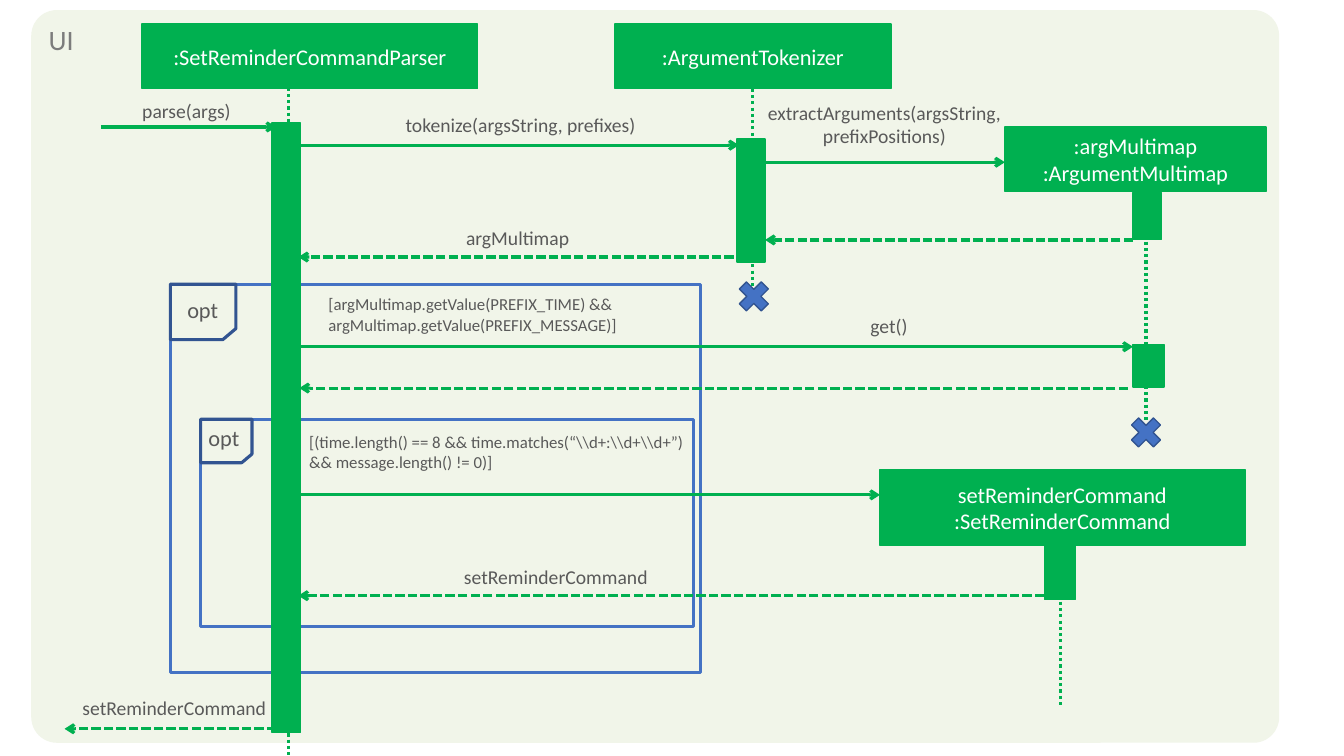
from lxml.etree import SubElement
from pptx import Presentation
from pptx.dml.color import RGBColor
from pptx.enum.dml import MSO_LINE
from pptx.enum.shapes import MSO_CONNECTOR, MSO_SHAPE
from pptx.enum.text import MSO_ANCHOR, MSO_AUTO_SIZE, PP_ALIGN
from pptx.oxml.ns import qn
from pptx.util import Pt

GREEN, BLUE, NAVY = "00B050", "4472C4", "325491"
PALE, GRAY, DARK, WHITE = "F1F5E9", "7C7C7C", "595959", "FFFFFF"
BAR = 20.2
CROSS = 30.2

HEADERS = [
    (101.5, 17.3, 239.8, 46.1, [":SetReminderCommandParser"]),
    (439.2, 17.3, 197.3, 46.1, [":ArgumentTokenizer"]),
    (717.8, 90.7, 186.5, 46.1, [":argMultimap", ":ArgumentMultimap"]),
    (628.6, 335.5, 260.6, 54, ["setReminderCommand", ":SetReminderCommand"]),
]
LIFELINES = [
    (205.9, 62.6, 540),
    (537.8, 63.4, 208.1),
    (818.6, 136.8, 301.7),
    (757.4, 389.5, 504.7),
]
ACTIVATIONS = [
    (194.4, 87.8, BAR, 435.6),
    (526.3, 99.4, BAR, 87.8),
    (809.3, 137.5, BAR, 33.8),
    (809.3, 246.2, 22.3, 30.2),
    (745.9, 384.5, 22.3, 43.9),
]
CROSSES = [(523.4, 196.6), (803.5, 293.8)]
OPTIONS = [
    ((121.7, 203, 378.7, 277.2), (46.8, 39.6), (126.7, 208.1, 38.2, 26.6)),
    ((143.3, 299.5, 352.1, 148.3), (36.7, 31), (141.8, 299.5, 42.5, 26.6)),
]
CALLS = [
    (72, 197.3, 90.7),
    (213.1, 527.8, 103.7),
    (546.5, 717.8, 115.9),
    (213.8, 809.3, 247.7),
    (213.8, 628.6, 353.5),
]
RETURNS = [
    (809.3, 546.5, 171.4),
    (524.2, 213.1, 183.6),
    (805.7, 213.8, 277.2),
    (745.9, 213.1, 425.5),
    (197.3, 46.1, 520.6),
]
MESSAGE_LABELS = [
    (70.6, 67, 125.3, 24.5, "parse(args)"),
    (274.3, 77, 195.1, 24.5, "tokenize(argsString, prefixes)"),
    (533.5, 68.4, 196.6, 41, "extractArguments(argsString, prefixPositions)"),
    (272.2, 157.7, 195.1, 24.5, "argMultimap"),
    (497.5, 221, 275, 24.5, "get()"),
    (299.5, 400.3, 195.1, 24.5, "setReminderCommand"),
    (46.8, 493.2, 155.5, 24.5, "setReminderCommand"),
]
GUARDS = [
    (227.5, 206.6, 231.8, 36,
     ["[argMultimap.getValue(PREFIX_TIME) && argMultimap.getValue(PREFIX_MESSAGE)]"]),
    (213.8, 304.6, 340.6, 36,
     ["[(time.length() == 8 && time.matches(“\\\\d+:\\\\d+\\\\d+”)",
      "&& message.length() != 0)]"]),
]


def color(hex_value):
    return RGBColor.from_string(hex_value)


def set_values(target, values):
    for name, value in values.items():
        setattr(target, name, value)


def write_text(shape, lines, size, text_color, align=PP_ALIGN.LEFT, **frame_values):
    frame = shape.text_frame
    set_values(frame, {"word_wrap": True, **frame_values})
    for index, line in enumerate(lines):
        paragraph = frame.add_paragraph() if index else frame.paragraphs[0]
        paragraph.text = line
        paragraph.alignment = align
        set_values(paragraph.font, {"name": "Calibri", "size": Pt(size)})
        paragraph.font.color.rgb = color(text_color)


def add_block(slide, kind, box, fill=None, line=None, width=1):
    shape = slide.shapes.add_shape(kind, *map(Pt, box))
    shape.shadow.inherit = False
    if fill:
        shape.fill.solid()
        shape.fill.fore_color.rgb = color(fill)
    else:
        shape.fill.background()
    if line:
        shape.line.color.rgb = color(line)
        shape.line.width = Pt(width)
    else:
        shape.line.fill.background()
    return shape


def add_label(slide, box, lines, size, align=PP_ALIGN.LEFT):
    label = slide.shapes.add_textbox(*map(Pt, box))
    write_text(label, lines, size, DARK, align,
               auto_size=MSO_AUTO_SIZE.SHAPE_TO_FIT_TEXT)


def add_line(slide, start, end, dash=None, arrow=False):
    connector = slide.shapes.add_connector(
        MSO_CONNECTOR.STRAIGHT, *map(Pt, (*start, *end)))
    connector.line.color.rgb = color(GREEN)
    set_values(connector.line, {"width": Pt(2.25), "dash_style": dash})
    if arrow:
        outline = connector.line._get_or_add_ln()
        SubElement(outline, qn("a:tailEnd"), type="arrow")
    SubElement(connector._element.spPr, qn("a:effectLst"))


def add_message(slide, start_x, end_x, y, dash=None):
    add_line(slide, (start_x, y), (end_x, y), dash, arrow=True)


def add_option(slide, box, tab_size, label_box):
    add_block(slide, MSO_SHAPE.RECTANGLE, box, line=BLUE, width=2.25)
    tab = add_block(slide, MSO_SHAPE.FLOWCHART_CARD, (*box[:2], *tab_size),
                    line=NAVY, width=2.25)
    tab.rotation = 180
    add_label(slide, label_box, ["opt"], 16)


def add_header(slide, box, lines):
    header = add_block(slide, MSO_SHAPE.RECTANGLE, box, GREEN, GREEN)
    write_text(header, lines, 16, WHITE, PP_ALIGN.CENTER,
               vertical_anchor=MSO_ANCHOR.MIDDLE)


def add_package(slide):
    package = add_block(slide, MSO_SHAPE.ROUNDED_RECTANGLE,
                        (22.3, 7.2, 891.4, 523.4), PALE)
    package.adjustments[0] = 0.035
    write_text(package, ["UI"], 20, GRAY, vertical_anchor=MSO_ANCHOR.TOP)


def main():
    presentation = Presentation()
    set_values(presentation, {"slide_width": Pt(960), "slide_height": Pt(540)})
    slide = presentation.slides.add_slide(presentation.slide_layouts[6])

    add_package(slide)
    for x, top, bottom in LIFELINES:
        add_line(slide, (x, top), (x, bottom), MSO_LINE.ROUND_DOT)
    for option in OPTIONS:
        add_option(slide, *option)
    for box in ACTIVATIONS:
        add_block(slide, MSO_SHAPE.RECTANGLE, box, GREEN, GREEN)
    for *box, lines in HEADERS:
        add_header(slide, box, lines)
    for left, top in CROSSES:
        add_block(slide, MSO_SHAPE.MATH_MULTIPLY, (left, top, CROSS, CROSS), BLUE, NAVY)
    for call in CALLS:
        add_message(slide, *call)
    for reply in RETURNS:
        add_message(slide, *reply, MSO_LINE.SQUARE_DOT)
    for *box, text in MESSAGE_LABELS:
        add_label(slide, box, [text], 14, PP_ALIGN.CENTER)
    for *box, lines in GUARDS:
        add_label(slide, box, lines, 12)

    presentation.save("out.pptx")


if __name__ == "__main__":
    main()
